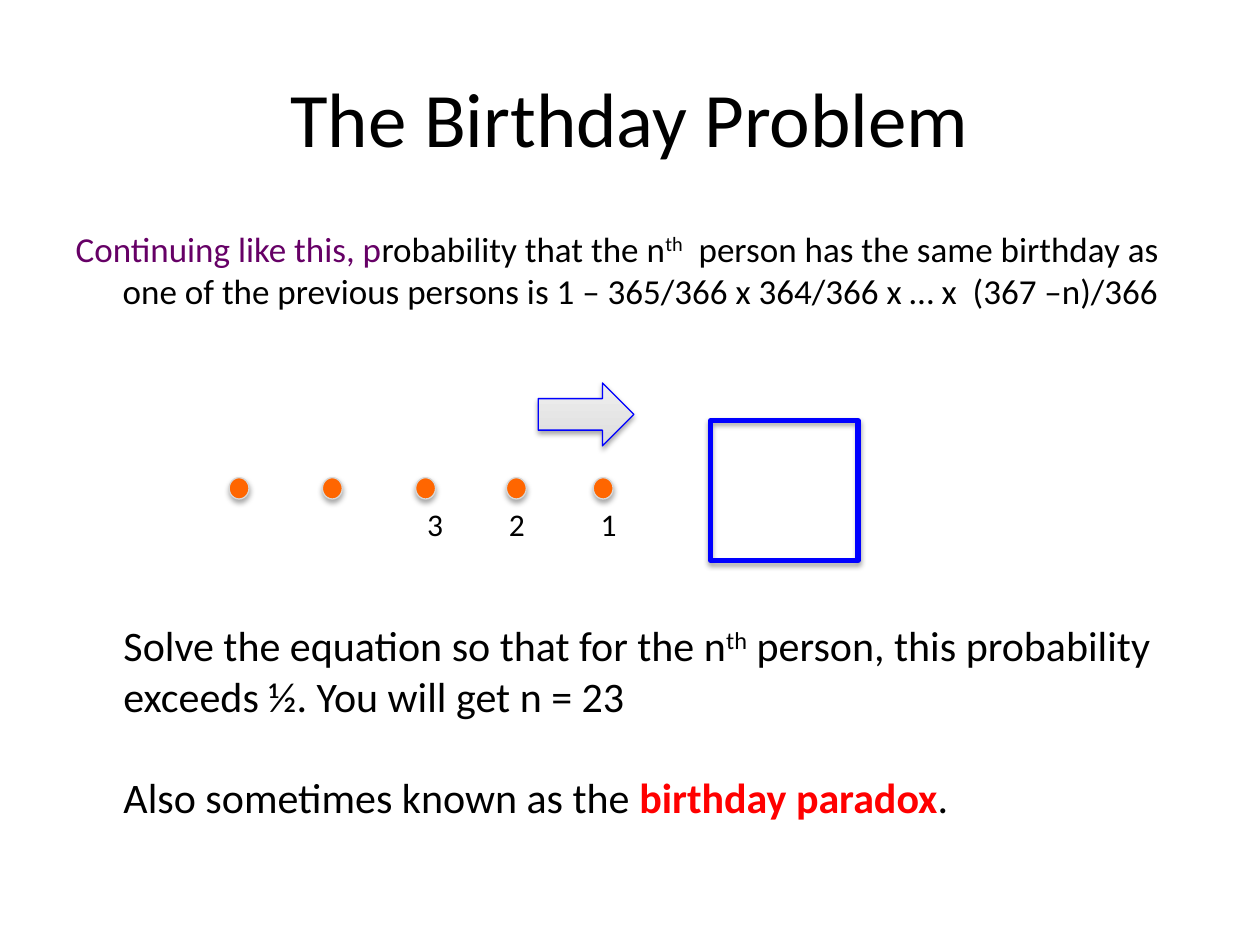
from dataclasses import dataclass

from lxml import etree
from pptx import Presentation
from pptx.dml.color import RGBColor
from pptx.enum.shapes import MSO_SHAPE
from pptx.enum.text import MSO_ANCHOR, PP_ALIGN
from pptx.oxml import parse_xml
from pptx.util import Cm, Pt

OVAL = MSO_SHAPE.OVAL
RECT = MSO_SHAPE.RECTANGLE
ARROW = MSO_SHAPE.RIGHT_ARROW
CENTER = PP_ALIGN.CENTER
LEFT = PP_ALIGN.LEFT
MIDDLE = MSO_ANCHOR.MIDDLE
NS = "http://schemas.openxmlformats.org/drawingml/2006/main"


@dataclass(frozen=True)
class Theme:
    font: str = "Calibri"
    black: str = "000000"
    purple: str = "660066"
    red: str = "FF0000"
    blue: str = "0000FF"
    orange: str = "FF6600"
    rim: str = "D8D8D8"
    dark: str = "DDDDDD"
    light: str = "EFEFEF"
    title: int = 44
    body: int = 20
    label: int = 18
    note: int = 24


THEME = Theme()


def color(code):
    return RGBColor.from_string(code)


def place(shape, box):
    shape.left, shape.top, shape.width, shape.height = map(Cm, box)


def style(para, size, align=LEFT):
    para.font.name = THEME.font
    para.font.size = Pt(size)
    para.font.color.rgb = color(THEME.black)
    para.alignment = align


def add_run(para, text, tint=THEME.black, bold=False, raised=False):
    run = para.add_run()
    run.text = text
    run.font.color.rgb = color(tint)
    if bold:
        run.font.bold = True
    if raised:
        run.font._element.set("baseline", "30000")


def add_shadow(shape):
    shape.shadow.inherit = False
    effects = shape._element.spPr.find(f"{{{NS}}}effectLst")
    effects.append(parse_xml(
        f'<a:outerShdw xmlns:a="{NS}" blurRad="{Pt(3.1)}" dist="{Pt(1.8)}" '
        'dir="5400000" rotWithShape="0"><a:srgbClr val="000000">'
        '<a:alpha val="35000"/></a:srgbClr></a:outerShdw>'))


def add_form(slide, kind, box, line, width):
    shape = slide.shapes.add_shape(kind, *map(Cm, box))
    shape.line.color.rgb = color(line)
    shape.line.width = Pt(width)
    add_shadow(shape)
    return shape


def add_text(slide, box):
    shape = slide.shapes.add_textbox(*map(Cm, box))
    shape.text_frame.word_wrap = False
    return shape.text_frame


def add_title(slide, box):
    title = slide.shapes.title
    place(title, box)
    title.text_frame.vertical_anchor = MIDDLE
    para = title.text_frame.paragraphs[0]
    para.text = "The Birthday Problem"
    style(para, THEME.title, CENTER)


def add_body(slide, box):
    body = slide.placeholders[1]
    place(body, box)
    para = body.text_frame.paragraphs[0]
    style(para, THEME.body)
    para.space_before = Pt(4)
    props = para._p.get_or_add_pPr()
    props.set("marL", str(Cm(0.95)))
    props.set("indent", str(Cm(-0.95)))
    bullet = etree.SubElement(props, f"{{{NS}}}buNone")
    props.find(f"{{{NS}}}defRPr").addprevious(bullet)
    add_run(para, "Continuing like this, p", THEME.purple)
    add_run(para, "robability that the n")
    add_run(para, "th", raised=True)
    add_run(para, "  person has the same birthday as one of the previous persons "
                  "is 1 – 365/366 x 364/366 x … x  (367 –n)/366")


def add_queue(slide, box):
    left, top, wide, high = box
    for gap in (0, 1.88, 3.76, 5.59, 7.34):
        dot = add_form(slide, OVAL, (left + gap, top + 1.91, 0.4, 0.43),
                       THEME.rim, 0.75)
        dot.fill.solid()
        dot.fill.fore_color.rgb = color(THEME.orange)

    room = add_form(slide, RECT, (left + wide - 2.97, top + high - 2.82, 2.97, 2.82),
                    THEME.blue, 3)
    room.fill.background()

    for text, gap in (("3", 3.74), ("2", 5.39), ("1", 7.24)):
        para = add_text(slide, (left + gap, top + 2.34, 0.84, 1.02)).paragraphs[0]
        para.text = text
        style(para, THEME.label)

    arrow = add_form(slide, ARROW, (left + 6.23, top, 1.93, 1.27), THEME.blue, 0.75)
    arrow.fill.gradient()
    arrow.fill.gradient_angle = 90
    for stop, tint in zip(arrow.fill.gradient_stops, (THEME.dark, THEME.light)):
        stop.color.rgb = color(tint)


def add_note(slide, box):
    frame = add_text(slide, box)
    first = frame.paragraphs[0]
    second = frame.add_paragraph()
    third = frame.add_paragraph()
    for para in (first, second, third):
        style(para, THEME.note)
    add_run(first, "Solve the equation so that for the n")
    add_run(first, "th", raised=True)
    add_run(first, " person, this probability")
    add_run(second, "exceeds ½. You will get n = 23")
    third.space_before = Pt(29)
    add_run(third, "Also sometimes known as the ")
    add_run(third, "birthday paradox", THEME.red, bold=True)
    add_run(third, ".")


def main():
    deck = Presentation()
    deck.slide_width, deck.slide_height = Cm(25.4), Cm(19.05)
    slide = deck.slides.add_slide(deck.slide_layouts[1])
    add_title(slide, (1.27, 0.76, 22.86, 3.18))
    add_body(slide, (1.27, 4.45, 22.86, 12.57))
    add_queue(slide, (4.62, 7.72, 12.68, 3.58))
    add_note(slide, (2.24, 12.37, 21.49, 4.37))
    deck.save("out.pptx")


if __name__ == "__main__":
    main()
